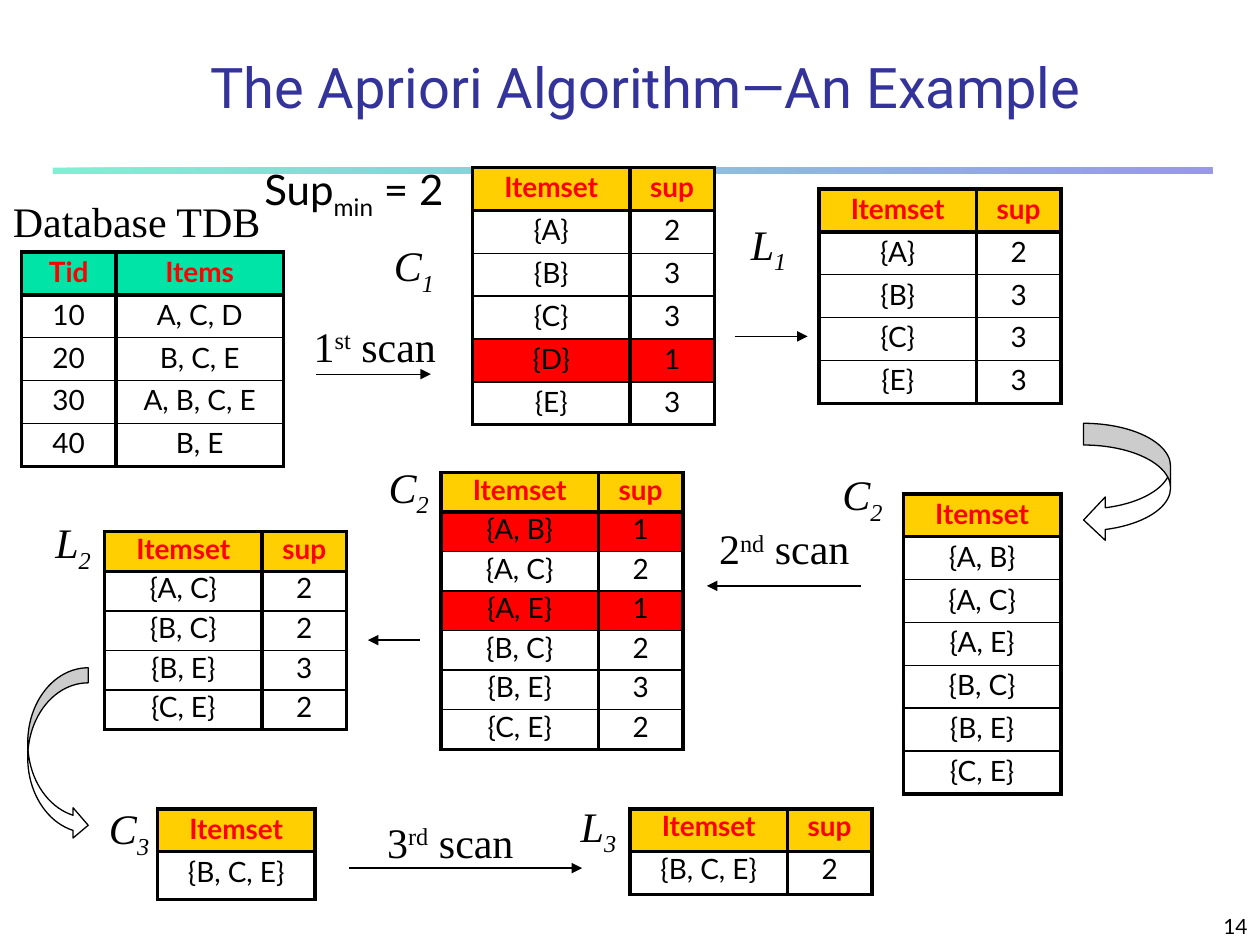
"""Build a slide that walks through the Apriori algorithm on a small database."""
import pptx
import pptx.dml.color
import pptx.enum.shapes
import pptx.enum.text
import pptx.oxml
import pptx.oxml.ns
import pptx.util
from lxml import etree

Inches = pptx.util.Inches
Pt = pptx.util.Pt
ALIGN = pptx.enum.text.PP_ALIGN
ANCHOR = pptx.enum.text.MSO_ANCHOR
SHAPE = pptx.enum.shapes.MSO_SHAPE
COLORS = {
    "black": "000000", "white": "FFFFFF", "title": "333399", "red": "FF0000",
    "gold": "FFCF01", "green": "00E4A8", "blue": "3333CC",
}
SERIF, SANS, TITLE_FONT = "Times New Roman", "Lato", "Roboto"
SUB, SUPER = -25000, 30000
THICK, THIN = 2.25, 1


def rgb(name):
    return pptx.dml.color.RGBColor.from_string(COLORS[name])


def add_child(parent, tag, **attributes):
    return etree.SubElement(parent, pptx.oxml.ns.qn(tag), **attributes)


def style_run(run, font, size, color="black", bold=False, italic=False):
    run.font.name = font
    run.font.size = Pt(size)
    run.font.color.rgb = rgb(color)
    run.font.bold = bold
    run.font.italic = italic


def add_text(slide, box, parts, font=SERIF, size=24, color="black", italic=False,
             align=ALIGN.CENTER, anchor=ANCHOR.MIDDLE, wrap=False):
    """Add a text box; each part is a (text, baseline) pair."""
    shape = slide.shapes.add_textbox(*map(Inches, box))
    frame = shape.text_frame
    frame.word_wrap = wrap
    frame.vertical_anchor = anchor
    paragraph = frame.paragraphs[0]
    paragraph.alignment = align
    for text, baseline in parts:
        run = paragraph.add_run()
        run.text = text
        style_run(run, font, size, color, italic=italic)
        if baseline:
            run.font._element.set("baseline", str(baseline))


def add_set_label(slide, left, top, letter, index):
    width = 0.53 if letter == "C" else 0.5
    add_text(slide, (left, top, width, 0.5), [(letter, 0), (index, SUB)], italic=True)


def add_scan_label(slide, left, top, width, number, suffix):
    add_text(slide, (left, top, width, 0.5), [(number, 0), (suffix, SUPER), (" scan", 0)])


def add_arrow(slide, start, end, y):
    arrow = slide.shapes.add_connector(
        pptx.enum.shapes.MSO_CONNECTOR.STRAIGHT,
        Inches(start), Inches(y), Inches(end), Inches(y))
    arrow.line.color.rgb = rgb("black")
    arrow.line.width = Pt(0.75)
    add_child(arrow.line._get_or_add_ln(), "a:tailEnd", type="triangle")
    add_child(arrow._element.spPr, "a:effectLst")


def add_curved_arrow(slide, kind, box):
    shape = slide.shapes.add_shape(kind, *map(Inches, box))
    shape.shadow.inherit = False
    for position, value in enumerate((0.25, 0.5, 0.25)):
        shape.adjustments[position] = value
    shape.fill.solid()
    shape.fill.fore_color.rgb = rgb("white")
    shape.line.color.rgb = rgb("black")
    shape.line.width = Pt(0.75)


def add_title_rule(slide):
    rule = slide.shapes.add_shape(SHAPE.RECTANGLE, *map(Inches, (0.42, 1.33, 9.2, 0.05)))
    rule.shadow.inherit = False
    rule.line.fill.background()
    rule.fill.gradient()
    rule.fill.gradient_angle = 0
    for stop, color in zip(rule.fill.gradient_stops, ("green", "blue")):
        stop.color.rgb = rgb(color)
    for color in rule._element.spPr.iter(pptx.oxml.ns.qn("a:srgbClr")):
        add_child(color, "a:alpha", val="50000")


def set_borders(cell, top, bottom):
    properties = cell._tc.get_or_add_tcPr()
    for side, width in (("L", THICK), ("R", THICK), ("T", top), ("B", bottom)):
        line = add_child(properties, f"a:ln{side}", w=str(Pt(width)))
        add_child(add_child(line, "a:solidFill"), "a:srgbClr", val=COLORS["black"])


def add_grid(slide, left, top, rows, widths=(1.25, 0.67), heights=None,
             row_height=0.34, spacing=0.9, header="gold", dropped=()):
    """Add a table with a coloured header and red rows for the dropped itemsets."""
    heights = heights or [row_height] * len(rows)
    frame = slide.shapes.add_table(
        len(rows), len(widths), Inches(left), Inches(top),
        Inches(sum(widths)), Inches(sum(heights)))
    table = frame.table
    table.first_row = table.horz_banding = False
    for column, width in zip(table.columns, widths):
        column.width = Inches(width)
    last = len(rows) - 1
    for r, (values, height) in enumerate(zip(rows, heights)):
        table.rows[r].height = Inches(height)
        for c, value in enumerate(values):
            cell = table.cell(r, c)
            set_borders(cell, THICK if r < 2 else THIN, THICK if r in (0, last) else THIN)
            fill = header if r == 0 else "red" if values[0] in dropped else None
            if fill:
                cell.fill.solid()
                cell.fill.fore_color.rgb = rgb(fill)
            else:
                cell.fill.background()
            paragraph = cell.text_frame.paragraphs[0]
            paragraph.text = value
            paragraph.alignment = ALIGN.CENTER
            paragraph.line_spacing = spacing
            style_run(paragraph.runs[0], SANS, 16, "black" if r else "red", bold=r == 0)


def support_rows(counts):
    return [("Itemset", "sup")] + [(f"{{{items}}}", str(n)) for items, n in counts.items()]


def candidate_rows(*itemsets):
    return [("Itemset",)] + [(f"{{{items}}}",) for items in itemsets]


def add_tables(slide):
    singles = {"A": 2, "B": 3, "C": 3, "D": 1, "E": 3}
    pairs = {"A, B": 1, "A, C": 2, "A, E": 1, "B, C": 2, "B, E": 3, "C, E": 2}
    frequent_singles = {items: n for items, n in singles.items() if n >= 2}
    frequent_pairs = {items: n for items, n in pairs.items() if n >= 2}
    transactions = [("Tid", "Items"), ("10", "A, C, D"), ("20", "B, C, E"),
                    ("30", "A, B, C, E"), ("40", "B, E")]
    tight = {"row_height": 0.314, "spacing": 0.8}
    add_grid(slide, 0.17, 2, transactions, widths=(0.75, 1.33), header="green")
    add_grid(slide, 3.75, 1.33, support_rows(singles), dropped=("{D}",))
    add_grid(slide, 6.5, 1.5, support_rows(frequent_singles))
    add_grid(slide, 7.17, 3.92, candidate_rows(*pairs), widths=(1.25,))
    add_grid(slide, 3.5, 3.75, support_rows(pairs), dropped=("{A, B}", "{A, E}"), **tight)
    add_grid(slide, 0.83, 4.22, support_rows(frequent_pairs), **tight)
    add_grid(slide, 1.25, 6.42, candidate_rows("B, C, E"), widths=(1.25,), heights=(0.34, 0.38))
    add_grid(slide, 5, 6.42, support_rows({"B, C, E": 2}), spacing=0.8)


def main():
    presentation = pptx.Presentation()
    presentation.slide_width, presentation.slide_height = Inches(10), Inches(7.5)
    slide = presentation.slides.add_slide(presentation.slide_layouts[6])
    add_title_rule(slide)
    add_text(slide, (7.92, 7.08, 2.08, 0.42), [("14", 0)], SANS, 12,
             align=ALIGN.RIGHT, anchor=ANCHOR.BOTTOM, wrap=True)
    add_text(slide, (0.92, 0.33, 8.52, 0.67), [("The Apriori Algorithm—An Example ", 0)],
             TITLE_FONT, 32, "title", anchor=ANCHOR.BOTTOM, wrap=True)
    add_text(slide, (0, 1.5, 2.17, 0.5), [("Database TDB", 0)])
    for label in ((3.02, 1.88, "C", "1"), (5.85, 1.71, "L", "1"), (0.33, 4.08, "L", "2"),
                  (2.98, 3.64, "C", "2"), (6.58, 3.7, "C", "2"), (0.76, 6.35, "C", "3"),
                  (4.5, 6.33, "L", "3")):
        add_set_label(slide, *label)
    for label in ((2.38, 2.49, 1.19, "1", "st"), (5.59, 4.1, 1.27, "2", "nd"),
                  (2.96, 6.43, 1.23, "3", "rd")):
        add_scan_label(slide, *label)
    for arrow in ((2.51, 3.42, 2.97), (6.83, 5.61, 4.65), (2.77, 4.62, 6.89),
                  (5.83, 6.41, 2.67), (3.33, 2.92, 5.08)):
        add_arrow(slide, *arrow)
    add_curved_arrow(slide, SHAPE.CURVED_LEFT_ARROW, (8.6, 3.36, 0.69, 0.94))
    add_curved_arrow(slide, SHAPE.CURVED_RIGHT_ARROW, (0.22, 5.3, 0.48, 1.37))
    add_tables(slide)
    add_text(slide, (2, 1.25, 1.92, 0.5), [("Sup", 0), ("min", SUB), (" = 2", 0)], SANS,
             align=ALIGN.LEFT, anchor=ANCHOR.TOP, wrap=True)
    presentation.save("out.pptx")


if __name__ == "__main__":
    main()
